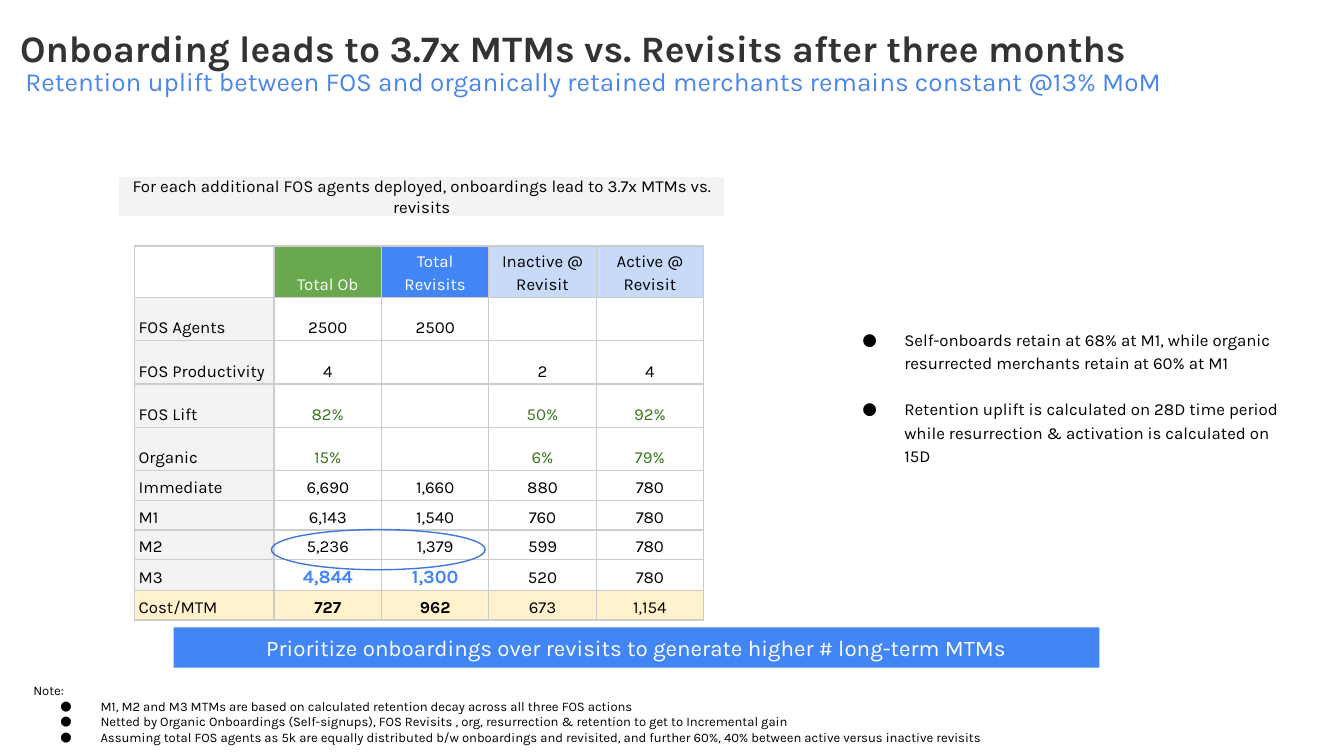
"""Build the slide comparing onboardings with revisits."""
from lxml import etree
from pptx import Presentation, util as u
from pptx.dml.color import RGBColor
from pptx.enum import shapes, text
from pptx.oxml import ns

BLACK = RGBColor(0x00, 0x00, 0x00)
WHITE = RGBColor(0xFF, 0xFF, 0xFF)
CHARCOAL = RGBColor(0x33, 0x33, 0x33)
GREY = RGBColor(0xF3, 0xF3, 0xF3)
BORDER = RGBColor(0xCC, 0xCC, 0xCC)
BLUE = RGBColor(0x42, 0x85, 0xF4)
SKY = RGBColor(0x4A, 0x86, 0xE8)
OUTLINE = RGBColor(0x3C, 0x78, 0xD8)
PALE_BLUE = RGBColor(0xC9, 0xDA, 0xF8)
GREEN = RGBColor(0x6A, 0xA8, 0x4F)
DARK_GREEN = RGBColor(0x38, 0x76, 0x1D)
CREAM = RGBColor(0xFF, 0xF2, 0xCC)
LEFT, CENTER = text.PP_ALIGN.LEFT, text.PP_ALIGN.CENTER
TOP, MIDDLE = text.MSO_ANCHOR.TOP, text.MSO_ANCHOR.MIDDLE


def write(frame, words, size=9, color=BLACK, bold=False, align=LEFT,
          spacing=1.0, before=0, hanging=0):
    para = frame.paragraphs[0]
    if para.runs:
        para = frame.add_paragraph()
    para.alignment = align
    para.line_spacing = spacing
    para.space_before = u.Pt(before)
    span = para.add_run()
    span.text = words
    span.font.name = "Karla"
    span.font.size = u.Pt(size)
    span.font.bold = bold
    span.font.color.rgb = color
    props = para._p.get_or_add_pPr()
    props.set("marL", str(u.Cm(1.27) if hanging else 0))
    props.set("indent", str(-u.Cm(hanging)))
    if hanging:
        tint = etree.SubElement(props, ns.qn("a:buClr"))
        etree.SubElement(tint, ns.qn("a:srgbClr"), val=str(BLACK))
        etree.SubElement(props, ns.qn("a:buFont"), typeface="Karla")
        etree.SubElement(props, ns.qn("a:buChar"), char="●")
    else:
        etree.SubElement(props, ns.qn("a:buNone"))


def arrange(shape, left, top, width, height, anchor=TOP, inset=0.25):
    shape.left, shape.top = u.Cm(left), u.Cm(top)
    shape.width, shape.height = u.Cm(width), u.Cm(height)
    frame = shape.text_frame
    frame.word_wrap = True
    frame.auto_size = text.MSO_AUTO_SIZE.NONE
    frame.vertical_anchor = anchor
    frame.margin_left = frame.margin_right = u.Cm(0.25)
    frame.margin_top = frame.margin_bottom = u.Cm(inset)
    return frame


deck = Presentation()
deck.slide_width, deck.slide_height = u.Cm(25.4), u.Cm(14.29)
page = deck.slides.add_slide(deck.slide_layouts[3])
title, takeaways, notes = list(page.placeholders)[:3]

header = ["", "Total Ob", "Total Revisits", "Inactive @ Revisit", "Active @ Revisit"]
rows = [
    header,
    ["FOS Agents", "2500", "2500", "", ""],
    ["FOS Productivity", "4", "", "2", "4"],
    ["FOS Lift", "82%", "", "50%", "92%"],
    ["Organic", "15%", "", "6%", "79%"],
    ["Immediate", "6,690", "1,660", "880", "780"],
    ["M1", "6,143", "1,540", "760", "780"],
    ["M2", "5,236", "1,379", "599", "780"],
    ["M3", "4,844", "1,300", "520", "780"],
    ["Cost/MTM", "727", "962", "673", "1,154"],
]
header_fills = [None, GREEN, BLUE, PALE_BLUE, PALE_BLUE]
widths = [2.64] + [2.03] * 4
heights = [0.97] + [0.82] * 4 + [0.56] * 3 + [0.58, 0.56]
table = page.shapes.add_table(len(rows), len(header), u.Cm(2.54), u.Cm(4.65),
                              u.Cm(sum(widths)), u.Cm(sum(heights))).table
table.first_row = table.horz_banding = False
for column, width in zip(table.columns, widths):
    column.width = u.Cm(width)
for r, (row, height) in enumerate(zip(rows, heights)):
    table.rows[r].height = u.Cm(height)
    for c, words in enumerate(row):
        cell = table.cell(r, c)
        cell.vertical_anchor = text.MSO_ANCHOR.BOTTOM
        cell.margin_left = cell.margin_right = u.Cm(0.08)
        cell.margin_top = cell.margin_bottom = u.Cm(0.05)
        for side in ("lnL", "lnR", "lnT", "lnB"):
            line = etree.SubElement(cell._tc.get_or_add_tcPr(), ns.qn(f"a:{side}"),
                                    w=str(u.Pt(0.75)))
            solid = etree.SubElement(line, ns.qn("a:solidFill"))
            etree.SubElement(solid, ns.qn("a:srgbClr"), val=str(BORDER))
        if r == 0:
            fill = header_fills[c]
        elif row[0] == "Cost/MTM":
            fill = CREAM
        else:
            fill = GREY if c == 0 else None
        if fill is None:
            cell.fill.background()
        else:
            cell.fill.solid()
            cell.fill.fore_color.rgb = fill
        key = c in (1, 2)
        highlight = key and row[0] == "M3"
        color = BLACK
        if r == 0 and key:
            color = WHITE
        elif highlight:
            color = BLUE
        elif "%" in words:
            color = DARK_GREEN
        write(cell.text_frame, words, size=10 if highlight else 9, color=color,
              bold=key and row[0] in ("M3", "Cost/MTM"),
              align=CENTER if c else LEFT, spacing=1.15)

frame = arrange(notes, 0.38, 12.65, 23.29, 1.7)
write(frame, "Note:", size=7)
for words in (
    "M1, M2 and M3 MTMs are based on calculated retention decay across all three FOS actions",
    "Netted by Organic Onboardings (Self-signups), FOS Revisits , org, resurrection & "
    "retention to get to Incremental gain",
    "Assuming total FOS agents as 5k are equally distributed b/w onboardings and revisited, "
    "and further 60%, 40% between active versus inactive revisits",
):
    write(frame, words, size=7, hanging=0.76)

frame = arrange(title, 0.13, 0.23, 25.4, 1.22, anchor=MIDDLE)
write(frame, "Onboarding leads to 3.7x MTMs vs. Revisits after three months",
      size=20, color=CHARCOAL, bold=True, spacing=1.15)

subtitle = page.shapes.add_textbox(0, 0, 0, 0)
frame = arrange(subtitle, 0.23, 0.99, 24.43, 1.12)
write(frame, "Retention uplift between FOS and organically retained merchants "
      "remains constant @13% MoM", size=14, color=SKY, before=2)

caption, banner, ring = [
    page.shapes.add_shape(kind, 0, 0, 0, 0)
    for kind in (shapes.MSO_SHAPE.RECTANGLE, shapes.MSO_SHAPE.RECTANGLE, shapes.MSO_SHAPE.OVAL)
]
for shape, fill, edge in ((caption, GREY, WHITE), (banner, BLUE, None), (ring, None, OUTLINE)):
    shape.shadow.inherit = False
    if fill is None:
        shape.fill.background()
    else:
        shape.fill.solid()
        shape.fill.fore_color.rgb = fill
    if edge is None:
        shape.line.fill.background()
    else:
        shape.line.color.rgb = edge
        shape.line.width = u.Pt(0.75)
frame = arrange(caption, 2.24, 3.33, 11.46, 0.76, inset=0)
write(frame, "For each additional FOS agents deployed, onboardings lead to 3.7x MTMs vs. revisits",
      align=CENTER)
frame = arrange(banner, 3.28, 11.86, 17.5, 0.76, anchor=MIDDLE)
write(frame, "Prioritize onboardings over revisits to generate higher # long-term MTMs",
      size=12, color=WHITE, align=CENTER)
arrange(ring, 5.13, 10.01, 4.04, 0.76)

frame = arrange(takeaways, 15.57, 5.92, 8.86, 3.56)
write(frame, "Self-onboards retain at 68% at M1, while organic resurrected merchants "
      "retain at 60% at M1", spacing=1.15, hanging=0.79)
write(frame, "Retention uplift is calculated on 28D time period while resurrection & "
      "activation is calculated on 15D", spacing=1.15, before=12.4, hanging=0.79)

for holder in list(page.placeholders):
    if not holder.text_frame.text:
        holder.element.getparent().remove(holder.element)

deck.save("out.pptx")
